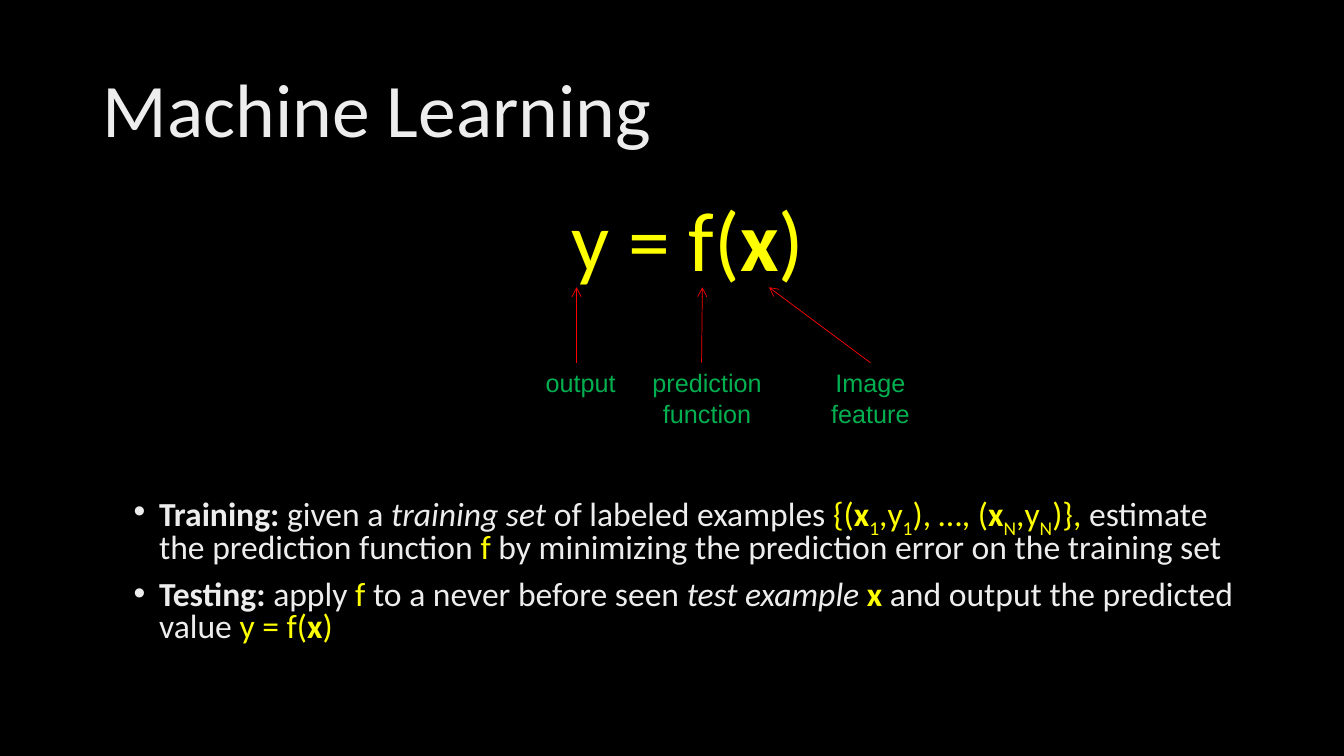
from lxml.etree import SubElement
from pptx import Presentation
from pptx.dml.color import RGBColor
from pptx.enum.shapes import MSO_CONNECTOR as Connector
from pptx.enum.text import MSO_ANCHOR as Anchor, PP_ALIGN as Align
from pptx.oxml.ns import qn
from pptx.util import Cm, Pt

BLACK = RGBColor(0x00, 0x00, 0x00)
PALE = RGBColor(0xED, 0xED, 0xED)
YELLOW = RGBColor(0xFF, 0xFF, 0x00)
RED = RGBColor(0xFF, 0x00, 0x00)
GREEN = RGBColor(0x00, 0xB0, 0x50)

TITLE_LAYOUT = 5

# Each span is (text, colour, style): b bold, i italic, s subscript
FORMULA = [("y = f(", YELLOW, ""), ("x", YELLOW, "b"), (")", YELLOW, "")]
TRAINING = [
    ("Training: ", PALE, "b"), ("given a ", PALE, ""),
    ("training set ", PALE, "i"), ("of labeled examples ", PALE, ""),
    ("{(", YELLOW, ""), ("x", YELLOW, "b"), ("1", YELLOW, "s"),
    (",y", YELLOW, ""), ("1", YELLOW, "s"), ("), …, (", YELLOW, ""),
    ("x", YELLOW, "b"), ("N", YELLOW, "s"), (",y", YELLOW, ""),
    ("N", YELLOW, "s"), (")}, ", YELLOW, ""),
    ("estimate the prediction function ", PALE, ""), ("f ", YELLOW, ""),
    ("by minimizing the prediction error on the training set", PALE, ""),
]
TESTING = [
    ("Testing:", PALE, "b"), (" apply ", PALE, ""), ("f", YELLOW, ""),
    (" to a never before seen ", PALE, ""), ("test example ", PALE, "i"),
    ("x", YELLOW, "b"), (" and output the predicted value ", PALE, ""),
] + FORMULA

# Label text, left, width and height; arrow start and tip, all in cm
# measured from the left edge of the diagram
LABELS = [
    ("output", 0, 2.29, 1.02, 1.04, 1.04),
    ("prediction function", 1.7, 5.26, 1.8, 4.19, 4.21),
    ("Image feature", 6.35, 4.19, 1.8, 8.44, 5.89),
]
ARROW_HEIGHT = 1.9


def add_spans(para, spans, size, font="Calibri"):
    for text, colour, style in spans:
        span = para.add_run()
        span.text = text
        span.font.name = font
        span.font.size = Pt(size)
        span.font.color.rgb = colour
        span.font.bold = "b" in style
        span.font.italic = "i" in style
        if "s" in style:
            span.font._element.set("baseline", "-25000")


def add_text_box(page, left, top, width, height):
    box = page.shapes.add_textbox(Cm(left), Cm(top), Cm(width), Cm(height))
    box.text_frame.word_wrap = True
    return box


def add_title(page, left, top, width, height):
    title = page.shapes.title
    title.left, title.top = Cm(left), Cm(top)
    title.width, title.height = Cm(width), Cm(height)
    title.text_frame.vertical_anchor = Anchor.MIDDLE
    para = title.text_frame.paragraphs[0]
    para.alignment = Align.LEFT
    para.line_spacing = 0.9
    add_spans(para, [("Machine Learning", PALE, "")], 54)


def add_formula(page, left, top, width, height):
    box = add_text_box(page, left, top, width, height)
    para = box.text_frame.paragraphs[0]
    para.alignment = Align.CENTER
    para.line_spacing = 0.8
    add_spans(para, FORMULA, 60)


def add_arrow(page, start_x, start_y, tip_x, tip_y):
    arrow = page.shapes.add_connector(
        Connector.STRAIGHT, Cm(start_x), Cm(start_y), Cm(tip_x), Cm(tip_y))
    arrow.line.color.rgb = RED
    arrow.line.width = Pt(0.5)
    SubElement(arrow.line._get_or_add_ln(), qn("a:tailEnd"), type="arrow")
    SubElement(arrow._element.spPr, qn("a:effectLst"))
    return arrow


def add_labels(page, left, top):
    label_top = top + ARROW_HEIGHT
    for text, offset, width, height, start, tip in LABELS:
        arrow = add_arrow(page, left + start, label_top, left + tip, top)
        box = add_text_box(page, left + offset, label_top, width, height)
        para = box.text_frame.paragraphs[0]
        para.alignment = Align.CENTER
        add_spans(para, [(text, GREEN, "")], 18, "Arial")
        if " " not in text:
            box.text_frame.word_wrap = False
        # Join the arrow that starts at the middle of its label
        if abs(offset + width / 2 - start) < 0.02:
            arrow.begin_connect(box, 0)


def add_bullets(page, left, top, width, height):
    frame = add_text_box(page, left, top, width, height).text_frame
    for index, spans in enumerate([TRAINING, TESTING]):
        para = frame.add_paragraph() if index else frame.paragraphs[0]
        para.line_spacing = 0.8
        para.space_before = Pt(10 if index else 0)
        properties = para._p.get_or_add_pPr()
        properties.set("marL", str(Cm(0.64)))
        properties.set("indent", str(-Cm(0.64)))
        SubElement(properties, qn("a:buFont"), typeface="Arial")
        SubElement(properties, qn("a:buChar"), char="•")
        add_spans(para, spans, 24)


def main():
    deck = Presentation()
    deck.slide_width, deck.slide_height = Cm(33.87), Cm(19.05)
    page = deck.slides.add_slide(deck.slide_layouts[TITLE_LAYOUT])
    page.background.fill.solid()
    page.background.fill.fore_color.rgb = BLACK

    add_title(page, 2.34, 1.02, 29.21, 3.68)
    add_formula(page, 3.12, 5.08, 28.42, 2.3)
    add_labels(page, 13.49, 7.24)
    add_bullets(page, 3.12, 12.41, 28.42, 4.76)
    deck.save("out.pptx")


if __name__ == "__main__":
    main()
